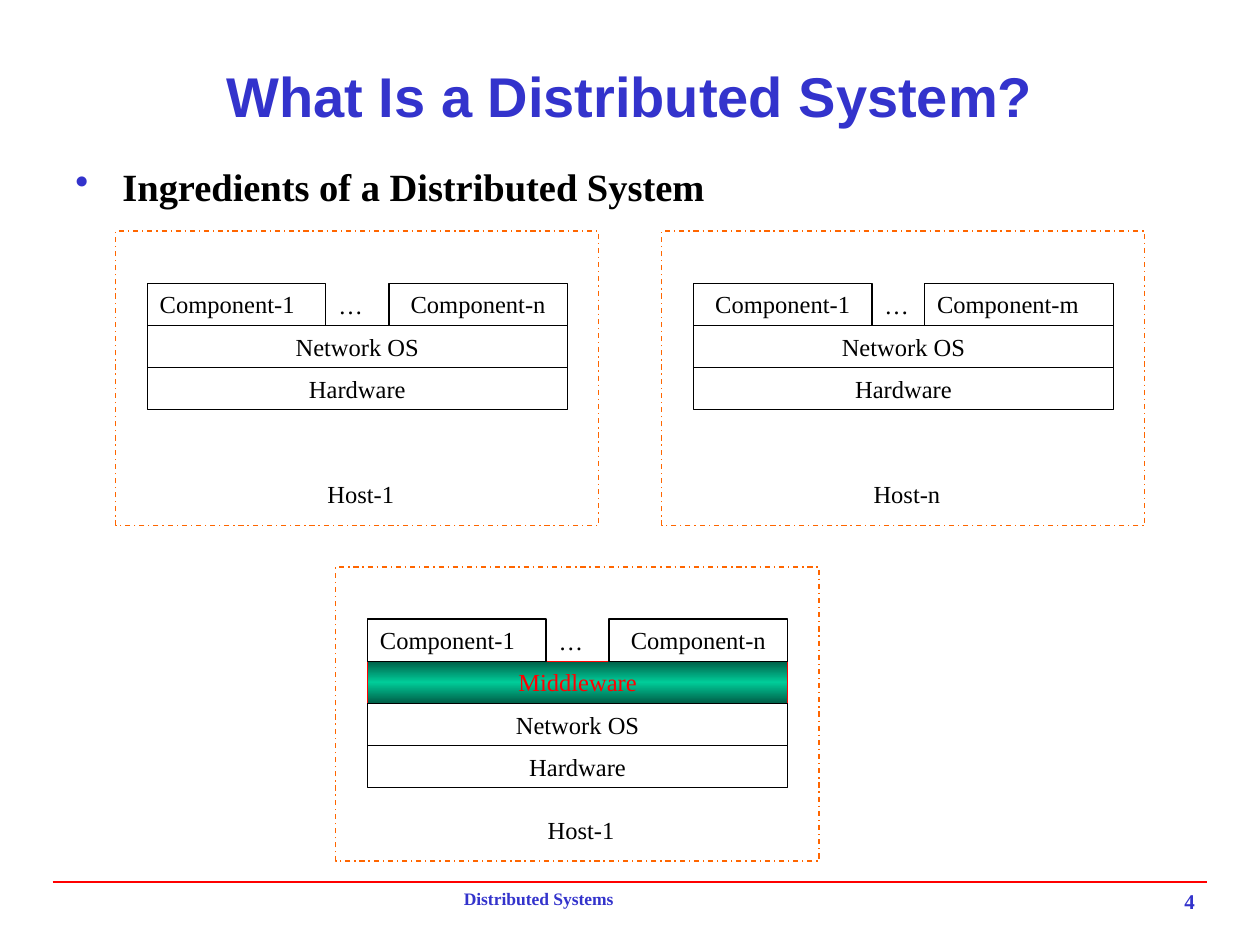
import pptx
import pptx.util
import pptx.dml.color
import pptx.enum.dml
import pptx.enum.shapes
import pptx.enum.text
import pptx.oxml
import pptx.oxml.ns

Cm, Pt = pptx.util.Cm, pptx.util.Pt
LEFT = pptx.enum.text.PP_ALIGN.LEFT
MID = pptx.enum.text.PP_ALIGN.CENTER
RIGHT = pptx.enum.text.PP_ALIGN.RIGHT
FIT = pptx.enum.text.MSO_AUTO_SIZE.SHAPE_TO_FIT_TEXT
SERIF = "Times New Roman"
BLUE, RED, BLACK, ORANGE = "3333CC", "FF0000", "000000", "FF6600"
NS = pptx.oxml.ns.nsdecls("a")
ROW = 0.85  # height of a layer, cm


def color(code):
    return pptx.dml.color.RGBColor.from_string(code)


def write(shape, text, size=14, ink=BLACK, align=LEFT, bold=False, font=SERIF):
    frame = shape.text_frame
    frame.word_wrap = True
    frame.vertical_anchor = pptx.enum.text.MSO_ANCHOR.TOP
    para = frame.paragraphs[0]
    para.text = text
    para.alignment = align
    face = para.runs[0].font
    face.name, face.size, face.bold = font, Pt(size), bold
    face.color.rgb = color(ink)
    return frame


def label(slide, x, y, w, h, text, **style):
    box = slide.shapes.add_textbox(Cm(x), Cm(y), Cm(w), Cm(h))
    return write(box, text, **style)


def rect(slide, x, y, w, h, ink=BLACK):
    box = slide.shapes.add_shape(pptx.enum.shapes.MSO_SHAPE.RECTANGLE,
                                 Cm(x), Cm(y), Cm(w), Cm(h))
    box.shadow.inherit = False
    box.fill.background()
    box.line.color.rgb = color(ink)
    box.line.width = Pt(0.75)
    return box


def block(slide, x, y, w, text, align=MID, ink=BLACK):
    box = rect(slide, x, y, w, ROW, ink)
    write(box, text, align=align, ink=ink).auto_size = FIT
    return box


def shade(box):
    # Gradient that is dark at the top and bottom edges
    stops = "".join(f'<a:gs pos="{pos}"><a:srgbClr val="{code}"/></a:gs>'
                    for pos, code in ((0, "005E47"), (50000, "00CC99"), (100000, "005E47")))
    grad = pptx.oxml.parse_xml(f'<a:gradFill {NS} rotWithShape="1"><a:gsLst>{stops}</a:gsLst>'
                               '<a:lin ang="5400000" scaled="1"/></a:gradFill>')
    props = box._element.spPr
    props.replace(props.find(pptx.oxml.ns.qn("a:noFill")), grad)


def head(slide, x, y, w):
    # Title and bullet line
    title = label(slide, x, y, w, 1.7, "What Is a Distributed System?",
                  size=32, ink=BLUE, align=MID, bold=True, font="Arial")
    title.vertical_anchor = pptx.enum.text.MSO_ANCHOR.MIDDLE
    body = label(slide, x, y + 2.11, w, 1.3, "Ingredients of a Distributed System",
                 size=22, bold=True)
    props = body.paragraphs[0]._p.get_or_add_pPr()
    props.set("marL", str(Cm(0.95)))
    props.set("indent", str(-Cm(0.95)))
    for tag in (f'<a:buClr {NS}><a:srgbClr val="{BLUE}"/></a:buClr>',
                f'<a:buChar {NS} char="•"/>'):
        props.append(pptx.oxml.parse_xml(tag))


def host(slide, x, y, name, parts, layers, tag=2.33):
    # Dashed frame
    frame = rect(slide, x, y, 9.74, 5.93, ORANGE)
    frame.line.dash_style = pptx.enum.dml.MSO_LINE.DASH_DOT
    left, top, wide = x + 0.64, y + 1.05, 8.47

    # Layers below the components
    for row, text in enumerate(layers, 1):
        special = text == "Middleware"
        box = block(slide, left, top + row * ROW, wide, text, ink=RED if special else BLACK)
        if special:
            shade(box)

    # First and last component, with dots between
    (first, side, w), (last, turn, span) = parts
    block(slide, left, top, w, first, side)
    block(slide, left + wide - span, top, span, last, turn)
    label(slide, left + w, top + 0.02, 1.48, ROW, "…").auto_size = FIT

    # Host name
    label(slide, x + 4.02, y + 4.87, tag, ROW, name).auto_size = FIT


def foot(slide, x, y, w):
    rule = slide.shapes.add_connector(pptx.enum.shapes.MSO_CONNECTOR.STRAIGHT,
                                      Cm(x), Cm(y), Cm(x + w), Cm(y))
    rule.line.color.rgb = color(RED)
    rule.line.width = Pt(1)
    rule._element.spPr.append(pptx.oxml.parse_xml(f"<a:effectLst {NS}/>"))
    label(slide, x + 8.04, y, 8.05, 0.85, "Distributed Systems", size=10, ink=BLUE, bold=True)
    label(slide, x + w - 5.29, y, 5.29, 0.85, "4", size=12, ink=BLUE, align=RIGHT, bold=True)


def main():
    deck = pptx.Presentation()
    deck.slide_width, deck.slide_height = Cm(25.4), Cm(19.05)
    slide = deck.slides.add_slide(deck.slide_layouts[6])
    base = ["Network OS", "Hardware"]
    pair = [("Component-1", LEFT, 3.6), ("Component-n", MID, 3.6)]
    other = [("Component-1", MID, 3.6), ("Component-m", LEFT, 3.81)]

    foot(slide, 1.06, 17.78, 23.28)
    head(slide, 1.27, 1.06, 22.86)
    host(slide, 2.33, 4.66, "Host-1", pair, base)
    host(slide, 13.34, 4.66, "Host-n", other, base, tag=1.9)
    host(slide, 6.77, 11.43, "Host-1", pair, ["Middleware"] + base)
    deck.save("out.pptx")


if __name__ == "__main__":
    main()
